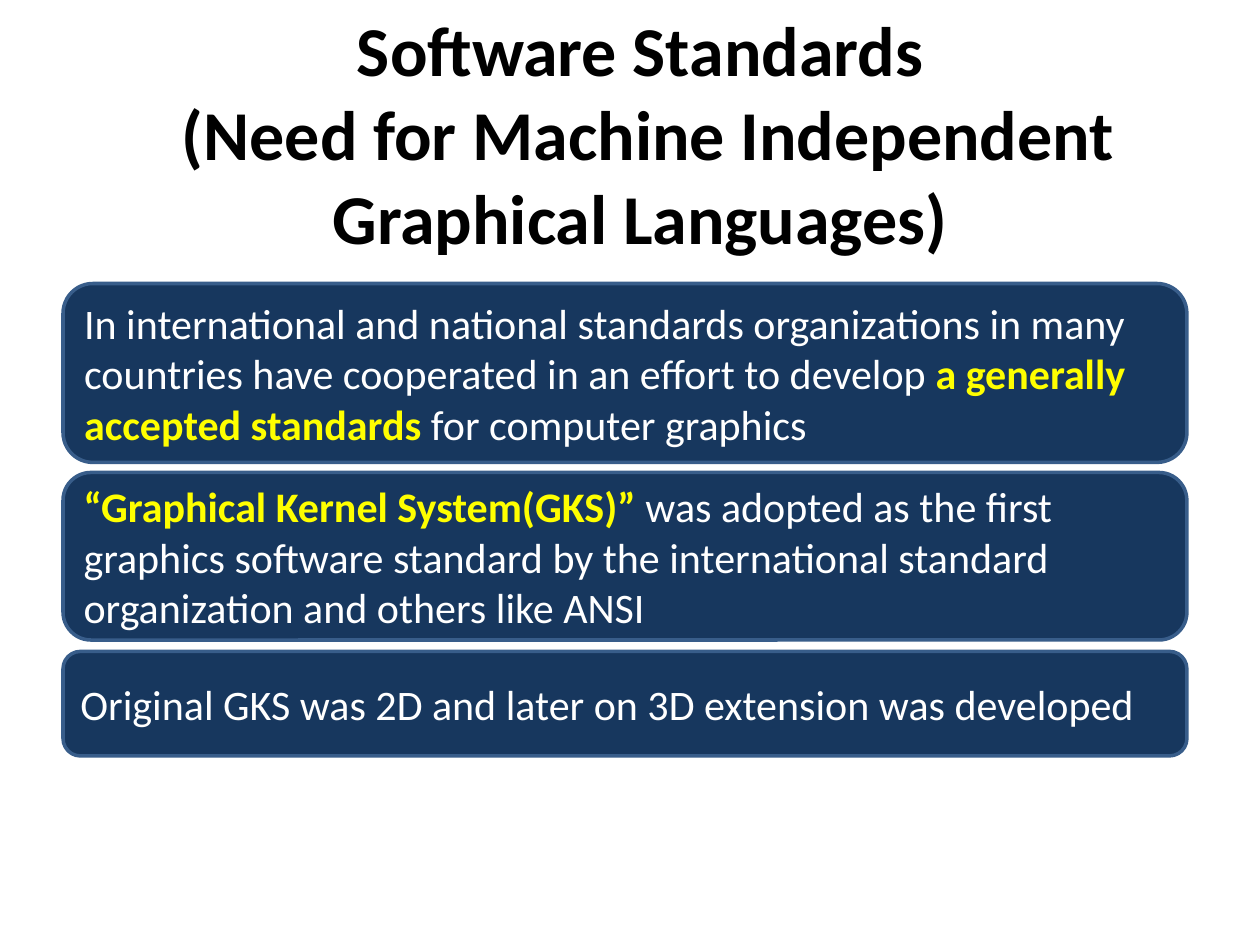
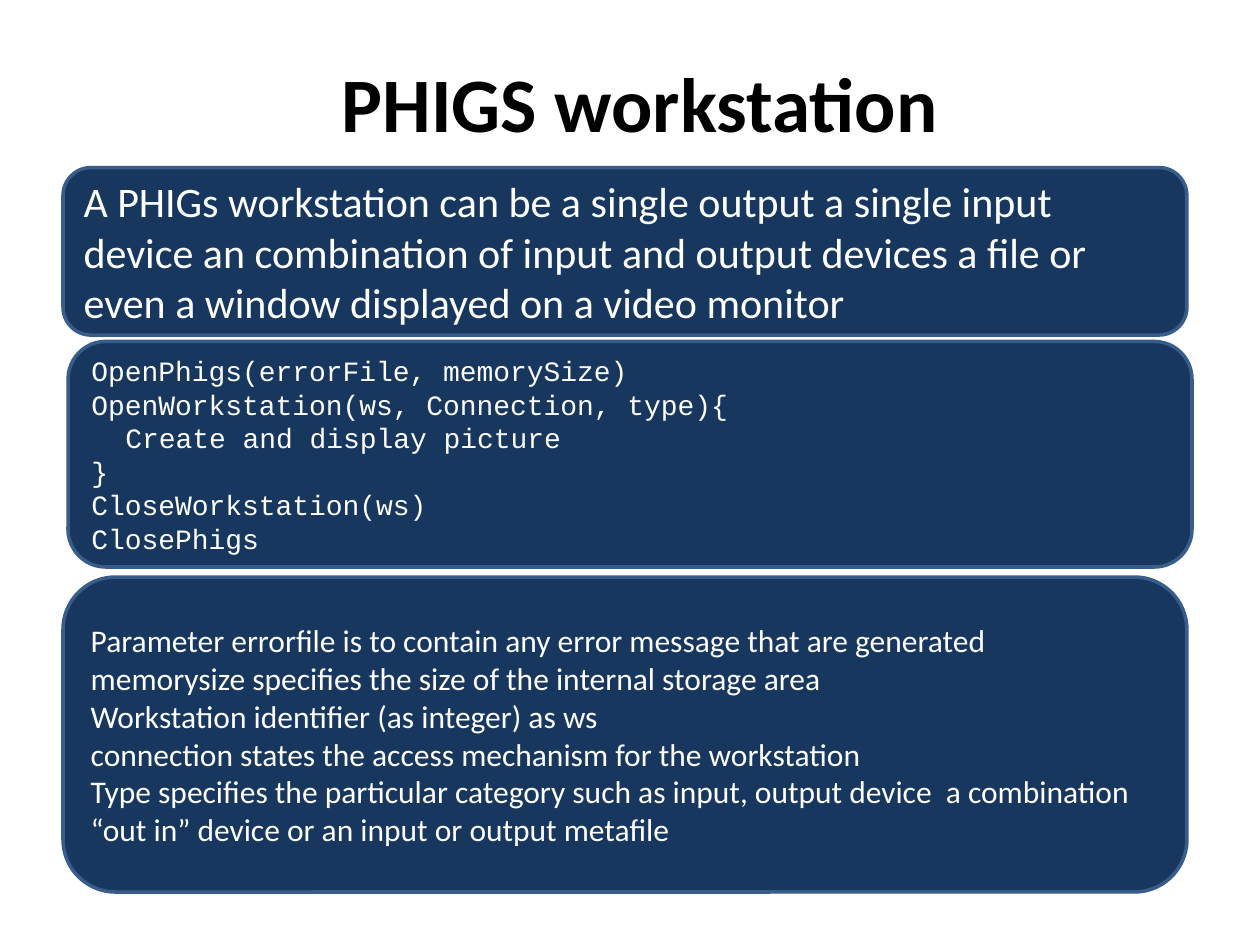
"""Build two slides on graphics software standards and the PHIGS workstation."""
from pptx import Presentation
from pptx.dml.color import RGBColor
from pptx.enum.shapes import MSO_SHAPE
from pptx.enum.text import MSO_ANCHOR, MSO_AUTO_SIZE, PP_ALIGN
from pptx.util import Inches, Pt

NAVY = RGBColor(0x17, 0x37, 0x5E)
BORDER = RGBColor(0x38, 0x5D, 0x8A)
WHITE = RGBColor(0xFF, 0xFF, 0xFF)
YELLOW = RGBColor(0xFF, 0xFF, 0x00)
BLACK = RGBColor(0x00, 0x00, 0x00)
BODY_FONT = "Calibri"
CODE_FONT = "Courier New"


def add_titled_slide(prs, title, top, size, margin_bottom=0.05):
    s = prs.slides.add_slide(prs.slide_layouts[5])
    sp = s.shapes.title
    sp.left, sp.top, sp.width, sp.height = Inches(0.83), Inches(top), Inches(8.5), Inches(1.61)
    tf = sp.text_frame
    tf.text = title
    tf.word_wrap = True
    tf.auto_size = MSO_AUTO_SIZE.NONE
    tf.vertical_anchor = MSO_ANCHOR.MIDDLE
    tf.margin_bottom = Inches(margin_bottom)
    p = tf.paragraphs[0]
    p.alignment = PP_ALIGN.CENTER
    for r in p.runs:
        r.font.name, r.font.size, r.font.bold = BODY_FONT, Pt(size), True
        r.font.color.rgb = BLACK
    return s


def add_panel(s, top, height, paragraphs, size=24, left=0.5, font=BODY_FONT,
              align=PP_ALIGN.LEFT):
    """Add a rounded panel; each paragraph is a list of (text, highlighted) pairs."""
    sp = s.shapes.add_shape(MSO_SHAPE.ROUNDED_RECTANGLE, Inches(left), Inches(top),
                            Inches(8.92), Inches(height))
    sp.shadow.inherit = False
    sp.fill.solid()
    sp.fill.fore_color.rgb = NAVY
    sp.line.color.rgb = BORDER
    sp.line.width = Pt(2)
    tf = sp.text_frame
    tf.word_wrap = True
    tf.vertical_anchor = MSO_ANCHOR.MIDDLE
    for i, parts in enumerate(paragraphs):
        p = tf.add_paragraph() if i else tf.paragraphs[0]
        p.alignment = align
        for text, highlighted in parts:
            r = p.add_run()
            r.text = text
            r.font.name, r.font.size, r.font.bold = font, Pt(size), highlighted
            r.font.color.rgb = YELLOW if highlighted else WHITE
    return sp


prs = Presentation()
prs.slide_width, prs.slide_height = Inches(10), Inches(7.5)

s = add_titled_slide(
    prs, "Software Standards\v (Need for Machine Independent Graphical Languages)",
    0.56, 40, margin_bottom=0.67)
add_panel(s, 2.25, 1.42, [[
    ("In international and national standards organizations in many countries "
     "have cooperated in an effort to develop ", False),
    ("a generally accepted standards", True),
    (" for computer graphics", False)]])
add_panel(s, 3.75, 1.33, [[
    ("“Graphical Kernel System(GKS)” ", True),
    ("was adopted as the first graphics software standard by the international "
     "standard organization and others like ANSI", False)]])
add_panel(s, 5.17, 0.83, [[
    ("Original GKS was 2D and later on 3D extension was developed", False)]])

s = add_titled_slide(prs, "PHIGS workstation", 0, 44)
add_panel(s, 1.33, 1.33, [[
    ("A PHIGs workstation can be a single output a single input device an "
     "combination of input and output devices a file or even a window displayed "
     "on a video monitor", False)]])

code = ["OpenPhigs(errorFile, memorySize)",
        "OpenWorkstation(ws, Connection, type){",
        "Create and display picture",
        "}",
        "CloseWorkstation(ws)",
        "ClosePhigs"]
sp = add_panel(s, 2.71, 1.79, [[(line, False)] for line in code], size=16, left=0.54,
               font=CODE_FONT, align=PP_ALIGN.JUSTIFY)
block_body = sp.text_frame.paragraphs[2]
block_body._p.get_or_add_pPr().set("marL", str(Inches(0.27)))

parameters = ["Parameter errorfile is to contain any error message that are generated",
              "memorysize specifies the size of the internal storage area",
              "Workstation identifier (as integer) as ws",
              "connection states the access mechanism for the workstation",
              "Type specifies the particular category such as input, output device  "
              "a combination “out in” device or an input or output metafile"]
add_panel(s, 4.58, 2.5, [[(line, False)] for line in parameters], size=18)

prs.save("out.pptx")
